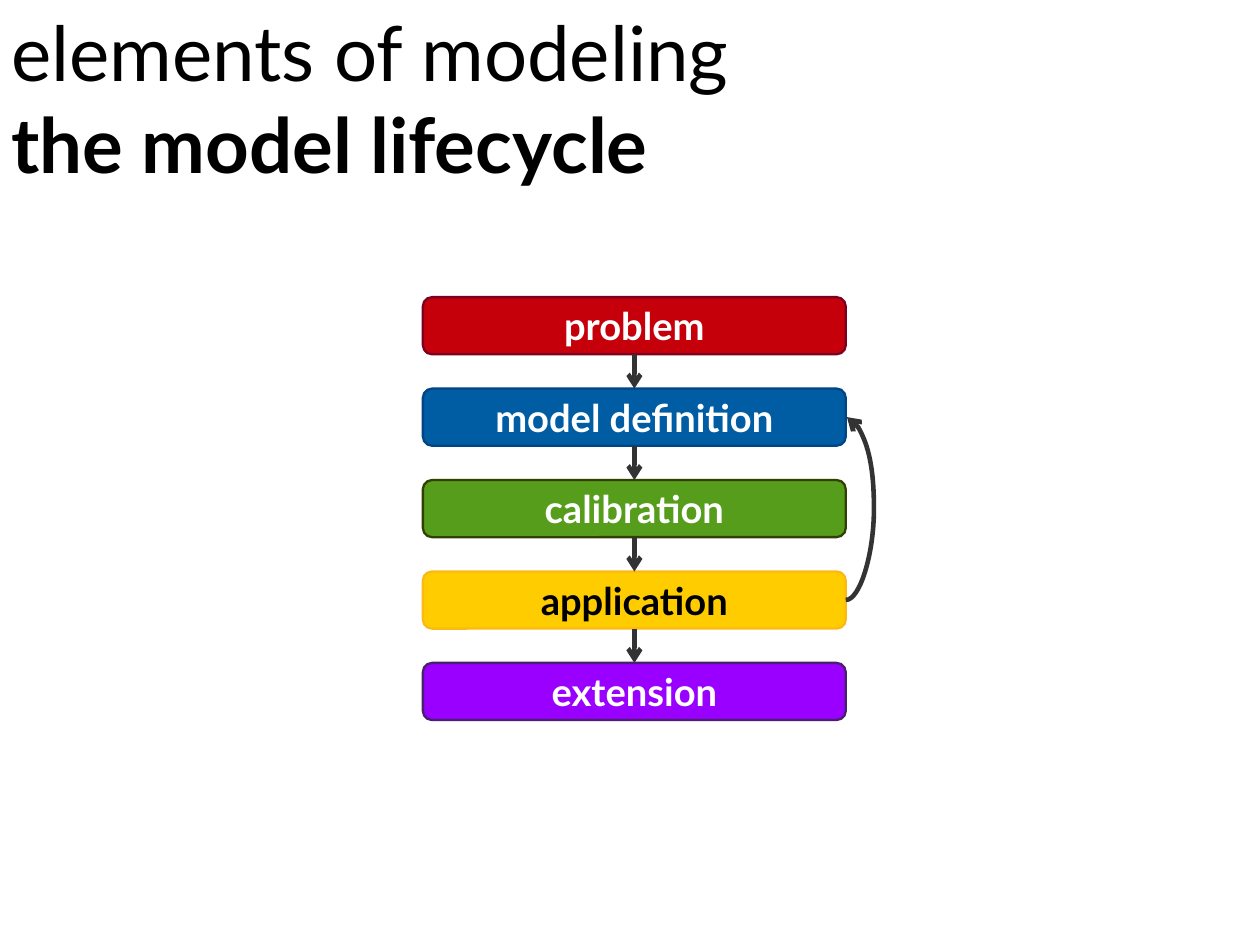
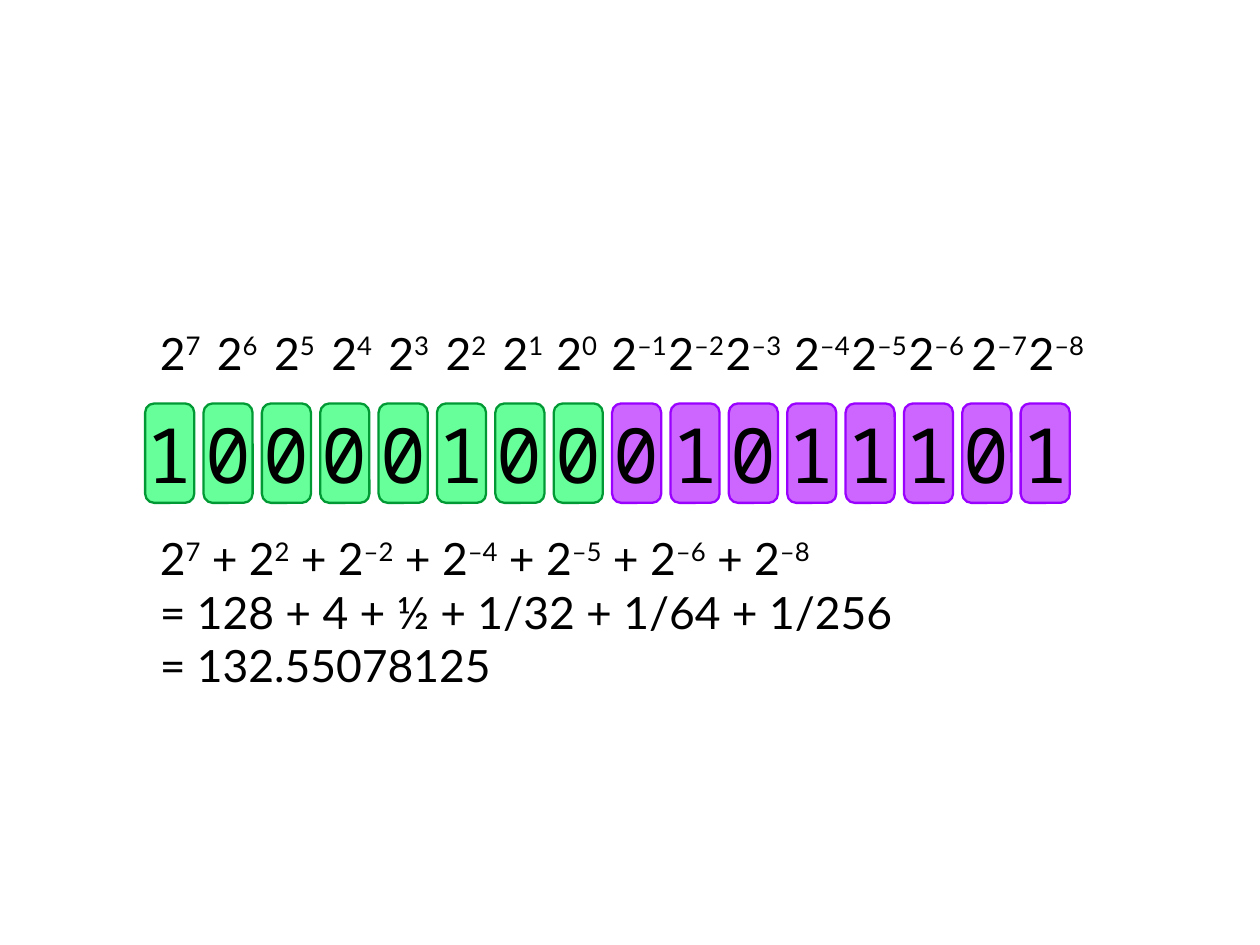
import dataclasses

import lxml.etree
import pptx
import pptx.dml.color
import pptx.enum.shapes
import pptx.enum.text
import pptx.oxml.ns
import pptx.util

Inches = pptx.util.Inches


@dataclasses.dataclass(frozen=True)
class Theme:
    sans: str = "Lato"
    mono: str = "Noto Sans Mono"
    black: str = "000000"
    white: str = "FFFFFF"
    arrow: str = "333333"
    red: tuple = ("C5000B", "7E0021")
    blue: tuple = ("005DA4", "004586")
    green: tuple = ("579D1C", "314004")
    gold: tuple = ("FFCC00", "FDB913")
    violet: tuple = ("9900FF", "4B1F6F")
    mint: tuple = ("66FF99", "009933")
    lilac: tuple = ("CC66FF", "9900FF")
    large: int = 48
    medium: int = 28
    small: int = 24
    edge: float = 1.45
    stroke: float = 2.89
    radius: float = 0.08


THEME = Theme()


@dataclasses.dataclass(frozen=True)
class Style:
    size: int
    font: str = THEME.sans
    color: str = THEME.black
    bold: bool = False
    raised: bool = False


PLAIN = Style(THEME.medium)
RAISED = Style(THEME.medium, raised=True)


def paint(value):
    return pptx.dml.color.RGBColor.from_string(value)


def write(frame, lines, align=pptx.enum.text.PP_ALIGN.LEFT):
    for index, line in enumerate(lines):
        par = frame.add_paragraph() if index else frame.paragraphs[0]
        par.alignment = align
        for text, style in line:
            run = par.add_run()
            run.text = text
            run.font.size = pptx.util.Pt(style.size)
            run.font.name = style.font
            run.font.bold = style.bold
            run.font.color.rgb = paint(style.color)
            if style.raised:
                run._r.get_or_add_rPr().set("baseline", "33000")


def add_text(slide, left, top, width, height, lines):
    box = slide.shapes.add_textbox(*map(Inches, (left, top, width, height)))
    box.text_frame.word_wrap = True
    write(box.text_frame, lines)


def add_box(slide, left, top, width, height, colors, text, style):
    kind = pptx.enum.shapes.MSO_SHAPE.ROUNDED_RECTANGLE
    box = slide.shapes.add_shape(kind, *map(Inches, (left, top, width, height)))
    box.adjustments[0] = THEME.radius / min(width, height)
    box.shadow.inherit = False
    fill, edge = colors
    box.fill.solid()
    box.fill.fore_color.rgb = paint(fill)
    box.line.color.rgb = paint(edge)
    box.line.width = pptx.util.Pt(THEME.edge)
    frame = box.text_frame
    frame.word_wrap = False
    frame.vertical_anchor = pptx.enum.text.MSO_ANCHOR.MIDDLE
    frame.margin_left = frame.margin_right = Inches(0.11)
    frame.margin_top = frame.margin_bottom = Inches(0.06)
    write(frame, [[(text, style)]], pptx.enum.text.PP_ALIGN.CENTER)
    return box


def add_arrow(slide, kind, start, end):
    arrow = slide.shapes.add_connector(kind, *map(Inches, start + end))
    arrow.line.color.rgb = paint(THEME.arrow)
    arrow.line.width = pptx.util.Pt(THEME.stroke)
    tag = pptx.oxml.ns.qn
    lxml.etree.SubElement(arrow.line._get_or_add_ln(), tag("a:tailEnd"), type="arrow")
    lxml.etree.SubElement(arrow._element.spPr, tag("a:effectLst"))
    return arrow


def add_bend(slide, start, end, bulge):
    arrow = add_arrow(slide, pptx.enum.shapes.MSO_CONNECTOR.CURVE, start, end)
    tag = pptx.oxml.ns.qn
    guides = arrow._element.spPr.find(tag("a:prstGeom")).get_or_add_avLst()
    ratio = round(bulge / (end[0] - start[0]) * 100000)
    lxml.etree.SubElement(guides, tag("a:gd"), name="adj1", fmla=f"val {ratio}")


def draw_cycle(slide):
    add_text(slide, 0, 0, 7.47, 1.86, [
        [("elements of modeling", Style(THEME.large))],
        [("the model lifecycle", Style(THEME.large, bold=True))],
    ])
    left, top, width, height, pitch = 3.7, 2.6, 3.7, 0.5, 0.8
    stages = [
        ("problem", THEME.red, THEME.white),
        ("model definition", THEME.blue, THEME.white),
        ("calibration", THEME.green, THEME.white),
        ("application", THEME.gold, THEME.black),
        ("extension", THEME.violet, THEME.white),
    ]
    boxes = [
        add_box(slide, left, top + pitch * row, width, height, colors, text,
                Style(THEME.small, color=ink, bold=True))
        for row, (text, colors, ink) in enumerate(stages)
    ]
    center = left + width / 2
    for row, (upper, lower) in enumerate(zip(boxes, boxes[1:])):
        base = top + pitch * row + height
        arrow = add_arrow(slide, pptx.enum.shapes.MSO_CONNECTOR.STRAIGHT,
                          (center, base), (center, top + pitch * (row + 1)))
        arrow.begin_connect(upper, 2)
        arrow.end_connect(lower, 0)
    right, middle = left + width, top + height / 2
    add_bend(slide, (right, middle + 3 * pitch), (right + 0.01, middle + pitch), 0.25)


def draw_bits(slide):
    bits = "1000010001011101"
    first, last = 1.27, 8.93
    pitch = (last - first) / (len(bits) - 1)
    digit = Style(THEME.large, THEME.mono)
    for place, bit in enumerate(bits):
        colors = THEME.mint if place < 8 else THEME.lilac
        add_box(slide, first + pitch * place, 3.53, 0.43, 0.87, colors, bit, digit)

    powers = list("76543210") + [f"–{n}" for n in range(1, 9)]
    lefts = [1.3 + 0.5 * n for n in range(7)]
    lefts += [4.77, 5.25, 5.75, 6.25, 6.85, 7.35, 7.85, 8.4, 8.9]
    for left, power in zip(lefts, powers):
        add_text(slide, left, 2.8, 0.75, 0.61, [[("2", PLAIN), (power, RAISED)]])

    terms = []
    for power in ("7", "2", "–2", "–4", "–5", "–6", "–8"):
        terms += [(" + 2" if terms else "2", PLAIN), (power, RAISED)]
    add_text(slide, 1.3, 4.6, 8.1, 1.64, [
        terms,
        [("= 128 + 4 + ½ + 1/32 + 1/64 + 1/256", PLAIN)],
        [("= 132.55078125", PLAIN)],
    ])


def main():
    deck = pptx.Presentation()
    deck.slide_width, deck.slide_height = Inches(28 / 2.54), Inches(21 / 2.54)
    for draw in (draw_cycle, draw_bits):
        draw(deck.slides.add_slide(deck.slide_layouts[6]))
    deck.save("out.pptx")


if __name__ == "__main__":
    main()
